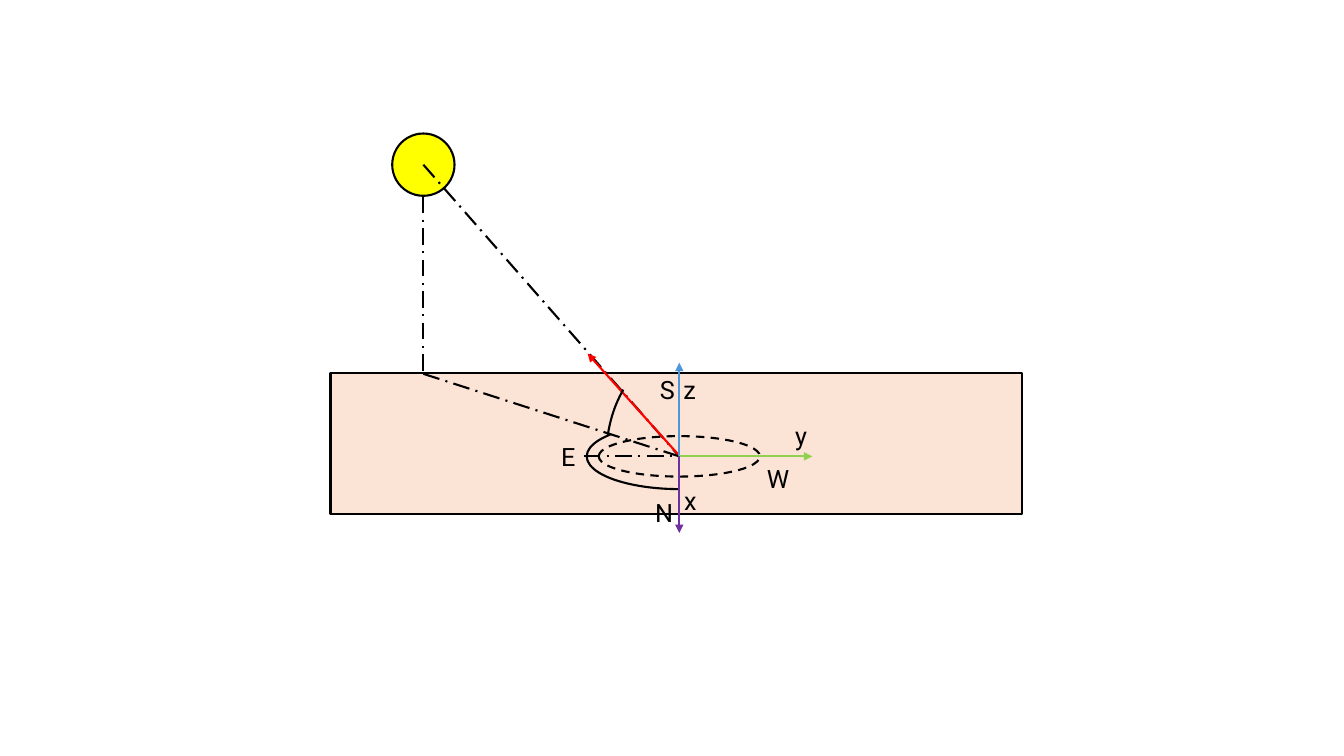
import pptx
import pptx.util
import pptx.dml.color
import pptx.enum.dml
import pptx.enum.shapes
import pptx.enum.text
import pptx.oxml.ns
import lxml.etree

Cm = pptx.util.Cm
SHAPE = pptx.enum.shapes.MSO_SHAPE
DASH = pptx.enum.dml.MSO_LINE
HUES = {"ink": "000000", "land": "FBE3D6", "sun": "FFFF00", "ray": "FF0000",
        "x": "7030A0", "y": "92D050", "z": "4E95D9"}


def hue(name):
    """Return the named colour."""
    return pptx.dml.color.RGBColor.from_string(HUES[name])


def pen(line, tint="ink", dash=None):
    """Format an outline or a line."""
    line.width = pptx.util.Pt(1.5)
    line.color.rgb = hue(tint)
    if dash:
        line.dash_style = dash


def form(group, kind, mid, size, fill=None, dash=None, turn=0, arc=()):
    """Draw a preset shape centred on a point."""
    (x, y), (w, h) = mid, size
    shape = group.shapes.add_shape(kind, Cm(x - w / 2), Cm(y - h / 2), Cm(w), Cm(h))
    shape.shadow.inherit = False
    if fill:
        shape.fill.solid()
        shape.fill.fore_color.rgb = hue(fill)
    else:
        shape.fill.background()
    pen(shape.line, dash=dash)
    shape.rotation = turn
    for i, angle in enumerate(arc):
        shape.adjustments[i] = angle


def link(group, hub, start, end, tint="ink", dash=None, tip=False):
    """Draw a line between two offsets from the hub."""
    ends = [Cm(hub[i] + point[i]) for point in (start, end) for i in (0, 1)]
    line = group.shapes.add_connector(pptx.enum.shapes.MSO_CONNECTOR.STRAIGHT, *ends)
    pen(line.line, tint, dash)
    tag = pptx.oxml.ns.qn
    if tip:
        stroke = line.line._get_or_add_ln()
        lxml.etree.SubElement(stroke, tag("a:tailEnd"), type="triangle")
    lxml.etree.SubElement(line._element.spPr, tag("a:effectLst"))


def label(group, text, x, y, width=0.81, size=18, font="Roboto", tint="ink"):
    """Write a short text at a corner point."""
    box = group.shapes.add_textbox(Cm(x), Cm(y), Cm(width), Cm(1.02))
    frame = box.text_frame
    frame.word_wrap = True
    frame.auto_size = pptx.enum.text.MSO_AUTO_SIZE.SHAPE_TO_FIT_TEXT
    run = frame.paragraphs[0].add_run()
    run.text = text
    run.font.size = pptx.util.Pt(size)
    run.font.name = font
    run.font.color.rgb = hue(tint)


def ground(group, box, hub):
    """Draw the land, the compass ring and its letters."""
    left, top, width, height = box
    mid = (left + width / 2, top + height / 2)
    form(group, SHAPE.RECTANGLE, mid, (width, height), fill="land")
    form(group, SHAPE.OVAL, hub, (4.06, 1.02), dash=DASH.DASH)
    for x, y in ((0, 1.06), (2.41, 0)):
        link(group, hub, (-x, -y), (x, y), dash=DASH.LONG_DASH_DOT)
    for text, x, y in (("S", -0.74, -2.18), ("N", -0.86, 0.91),
                       ("E", -3.23, -0.51), ("W", 1.96, 0.05)):
        label(group, text, hub[0] + x, hub[1] + y)


def sky(group, hub):
    """Draw the sun, its sight lines and the two angles."""
    sun, foot = (-6.45, -7.35), (-6.45, -2.08)
    form(group, SHAPE.OVAL, (hub[0] + sun[0], hub[1] + sun[1]), (1.57, 1.57), fill="sun")
    for start, end in (((sun[0], -6.55), foot), (sun, (0, 0)), (foot, (0, 0))):
        link(group, hub, start, end, dash=DASH.LONG_DASH_DOT)
    link(group, hub, (-0.03, -0.05), (-2.31, -2.59), tint="ray", tip=True)
    form(group, SHAPE.ARC, hub, (5.23, 3.68), turn=270, arc=(171.66, 192))
    form(group, SHAPE.ARC, hub, (4.67, 1.65), turn=180, arc=(162, 10.51))


def axes(group, hub):
    """Draw the three axes with their names."""
    for name, end, x, y in (("z", (0, -2.36), -0.15, -2.18),
                            ("y", (3.35, 0), 2.67, -1.04),
                            ("x", (0, 1.93), -0.13, 0.61)):
        link(group, hub, (0, 0), end, tint=name, tip=True)
        label(group, name, hub[0] + x, hub[1] + y, width=1.07)


def main():
    """Build and save the slide."""
    deck = pptx.Presentation()
    deck.slide_width, deck.slide_height = Cm(33.87), Cm(19.05)
    slide = deck.slides.add_slide(deck.slide_layouts[6])
    group = slide.shapes.add_group_shape()
    box = (8.33, 9.4, 17.42, 3.56)
    hub = (box[0] + 8.79, box[1] + 2.1)
    ground(group, box, hub)
    sky(group, hub)
    axes(group, hub)
    deck.save("out.pptx")


if __name__ == "__main__":
    main()
